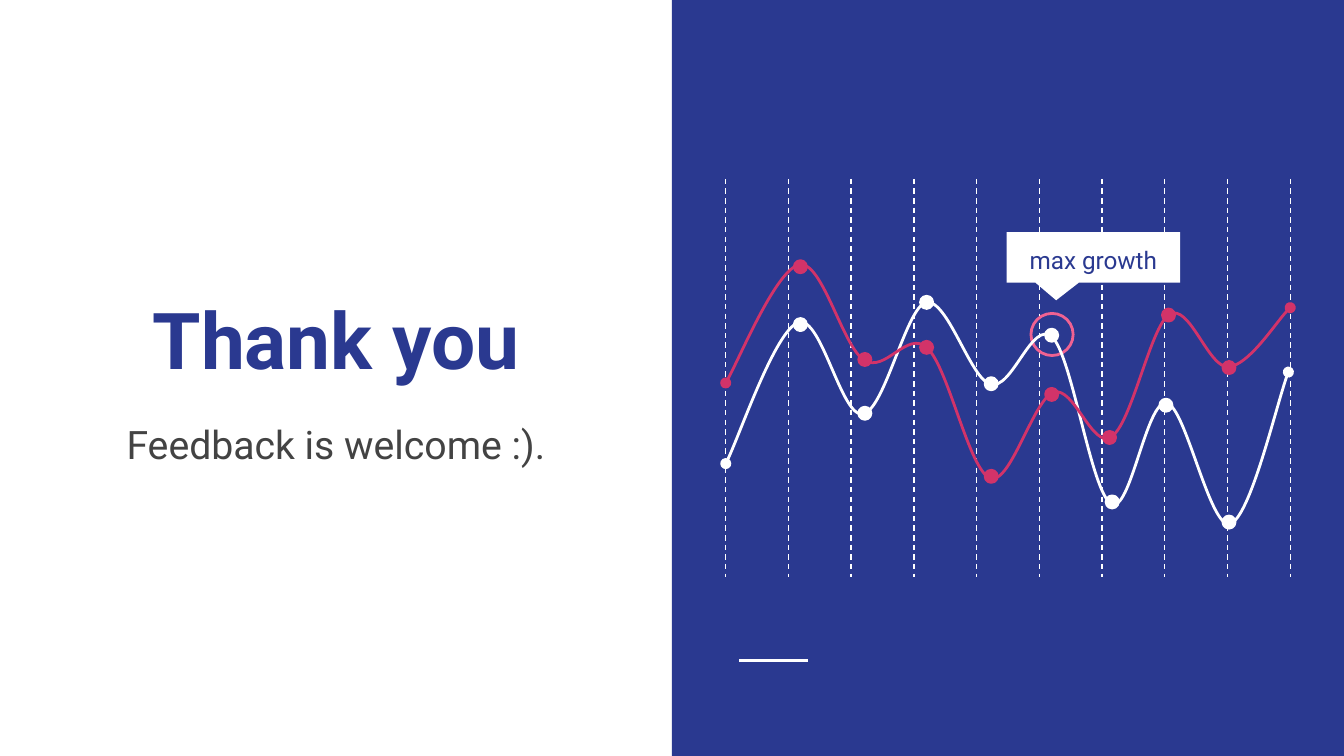
from lxml import etree
from pptx import Presentation
from pptx.dml.color import RGBColor
from pptx.enum.dml import MSO_LINE
from pptx.enum.shapes import MSO_CONNECTOR, MSO_SHAPE
from pptx.enum.text import MSO_ANCHOR, MSO_AUTO_SIZE, PP_ALIGN
from pptx.oxml.ns import qn
from pptx.util import Pt

STRAIGHT = MSO_CONNECTOR.STRAIGHT
RECTANGLE, OVAL = MSO_SHAPE.RECTANGLE, MSO_SHAPE.OVAL
CALLOUT = MSO_SHAPE.ROUNDED_RECTANGULAR_CALLOUT
TOP, MIDDLE, BOTTOM = MSO_ANCHOR.TOP, MSO_ANCHOR.MIDDLE, MSO_ANCHOR.BOTTOM

THEME = {
    "font": "Roboto",
    "blue": RGBColor.from_string("2A3990"),
    "white": RGBColor.from_string("FFFFFF"),
    "red": RGBColor.from_string("D23369"),
    "pink": RGBColor.from_string("F06292"),
    "grey": RGBColor.from_string("434343"),
    "title_size": Pt(42),
    "subtitle_size": Pt(21),
    "label_size": Pt(13),
}


def write(shape, text, *, size, color, bold=False, anchor=MIDDLE, inset=Pt(7.2), spacing=1.0):
    frame = shape.text_frame
    frame.text = text
    frame.word_wrap = True
    frame.auto_size = MSO_AUTO_SIZE.NONE
    frame.vertical_anchor = anchor
    frame.margin_left = frame.margin_right = inset
    frame.margin_top = frame.margin_bottom = inset
    paragraph = frame.paragraphs[0]
    paragraph.alignment = PP_ALIGN.CENTER
    paragraph.line_spacing = spacing
    paragraph.space_before = Pt(0)
    font = paragraph.runs[0].font
    font.name, font.size, font.bold = THEME["font"], size, bold
    font.color.rgb = color


def add_white_line(x1, y1, x2, y2, width):
    line = slide.shapes.add_connector(STRAIGHT, Pt(x1), Pt(y1), Pt(x2), Pt(y2))
    line.line.color.rgb = THEME["white"]
    line.line.width = Pt(width)
    etree.SubElement(line._element.spPr, qn("a:effectLst"))
    return line


prs = Presentation()
prs.slide_width, prs.slide_height = Pt(720), Pt(405)
slide = prs.slides.add_slide(prs.slide_layouts[0])

# Blue half with its short accent line
panel = slide.shapes.add_shape(RECTANGLE, Pt(360), Pt(0), Pt(360), Pt(405))
panel.shadow.inherit = False
panel.fill.solid()
panel.fill.fore_color.rgb = THEME["blue"]
panel.line.fill.background()
add_white_line(396, 354, 432.7, 354, 1.5)

# Thanks
title, subtitle = slide.placeholders
for holder, top, height in ((title, 90.7, 123.1), (subtitle, 218.2, 100.1)):
    holder.left, holder.top = Pt(20.9), Pt(top)
    holder.width, holder.height = Pt(318.2), Pt(height)
write(title, "Thank you", size=THEME["title_size"], color=THEME["blue"],
      bold=True, anchor=BOTTOM)
write(subtitle, "Feedback is welcome :).", size=THEME["subtitle_size"],
      color=THEME["grey"], anchor=TOP)

# Dashed grid
for column in range(10):
    x = 388.8 + column * 33.6
    add_white_line(x, 95.8, x, 308.9, 0.75).line.dash_style = MSO_LINE.DASH

# Ring around the peak
ring = slide.shapes.add_shape(OVAL, Pt(552.3), Pt(167.9), Pt(22.6), Pt(22.6))
ring.shadow.inherit = False
ring.fill.background()
ring.line.color.rgb = THEME["pink"]
ring.line.width = Pt(1.5)

# Each curve: a start point, then two control points and an end point per segment
white_curve = [
    (388.8, 248.4),
    (395.3, 236.2), (415.4, 177.1), (427.7, 172.8),
    (439.9, 168.5), (450.7, 223.9), (462.2, 221.8),
    (473.8, 220.3), (485.3, 164.9), (496.1, 162),
    (507.6, 159.8), (519.8, 203), (530.6, 205.9),
    (542.2, 209.5), (553, 170.6), (563.8, 180.7),
    (574.6, 191.5), (584.6, 264.2), (595.4, 270),
    (605.5, 275.8), (614.2, 213.8), (625, 216),
    (635, 217.4), (648, 283), (658.8, 280.8),
    (669.6, 277.9), (684.7, 213.1), (690.2, 199.4),
]
white_dots = [(428.8, 173.9), (463.3, 221.4), (496.4, 162), (531, 205.6),
              (563.4, 179.6), (595.8, 268.9), (624.6, 217.1), (658.4, 279.7)]
red_curve = [
    (388.8, 205.2),
    (395.3, 194.4), (416.2, 144), (428.4, 141.8),
    (440.6, 139.7), (451.4, 185.8), (463, 193),
    (474.5, 200.2), (486, 176.4), (496.8, 186.5),
    (508.3, 197.3), (519.1, 252), (530.6, 256.3),
    (541.4, 259.9), (553.7, 213.8), (564.5, 210.2),
    (575.3, 206.6), (585.4, 241.2), (595.4, 234),
    (606.2, 227.5), (616.3, 175), (626.4, 168.5),
    (637.2, 162), (647.3, 197.3), (658.1, 196.6),
    (668.9, 195.8), (685.4, 169.9), (691.2, 164.9),
]
red_dots = [(428.8, 142.9), (463.3, 192.6), (496.4, 186.1), (531, 255.2),
            (563.4, 211.3), (594.4, 234.4), (626, 168.8), (658.4, 196.9)]
dot_size = 6.5

for points, dots, color in ((white_curve, white_dots, THEME["white"]),
                            (red_curve, red_dots, THEME["red"])):
    start, *rest = [(Pt(x), Pt(y)) for x, y in points]
    builder = slide.shapes.build_freeform(*start)
    builder.add_line_segments(rest, close=False)
    curve = builder.convert_to_shape()
    curve.shadow.inherit = False
    curve.fill.background()
    curve.line.color.rgb = color
    curve.line.width = Pt(1.5)
    for end in ("a:headEnd", "a:tailEnd"):
        etree.SubElement(curve.line._get_or_add_ln(), qn(end), type="oval")

    # Every three straight steps become one Bezier segment
    outline = next(curve._element.iter(qn("a:path")))
    steps = outline.findall(qn("a:lnTo"))
    for first in range(0, len(steps), 3):
        segment = etree.SubElement(outline, qn("a:cubicBezTo"))
        for step in steps[first:first + 3]:
            segment.append(step[0])
            outline.remove(step)

    for x, y in dots:
        dot = slide.shapes.add_shape(OVAL, Pt(x - dot_size / 2), Pt(y - dot_size / 2),
                                     Pt(dot_size), Pt(dot_size))
        dot.shadow.inherit = False
        dot.fill.solid()
        dot.fill.fore_color.rgb = color
        dot.line.color.rgb = color
        dot.line.width = Pt(1.5)

# Peak label
peak = slide.shapes.add_shape(CALLOUT, Pt(539.2), Pt(124.4), Pt(93), Pt(27))
peak.shadow.inherit = False
for index, value in enumerate((-0.214, 0.85, 0)):
    peak.adjustments[index] = value
peak.fill.solid()
peak.fill.fore_color.rgb = THEME["white"]
peak.line.fill.background()
write(peak, "max growth", size=THEME["label_size"], color=THEME["blue"],
      inset=Pt(0), spacing=1.15)

prs.save("out.pptx")
